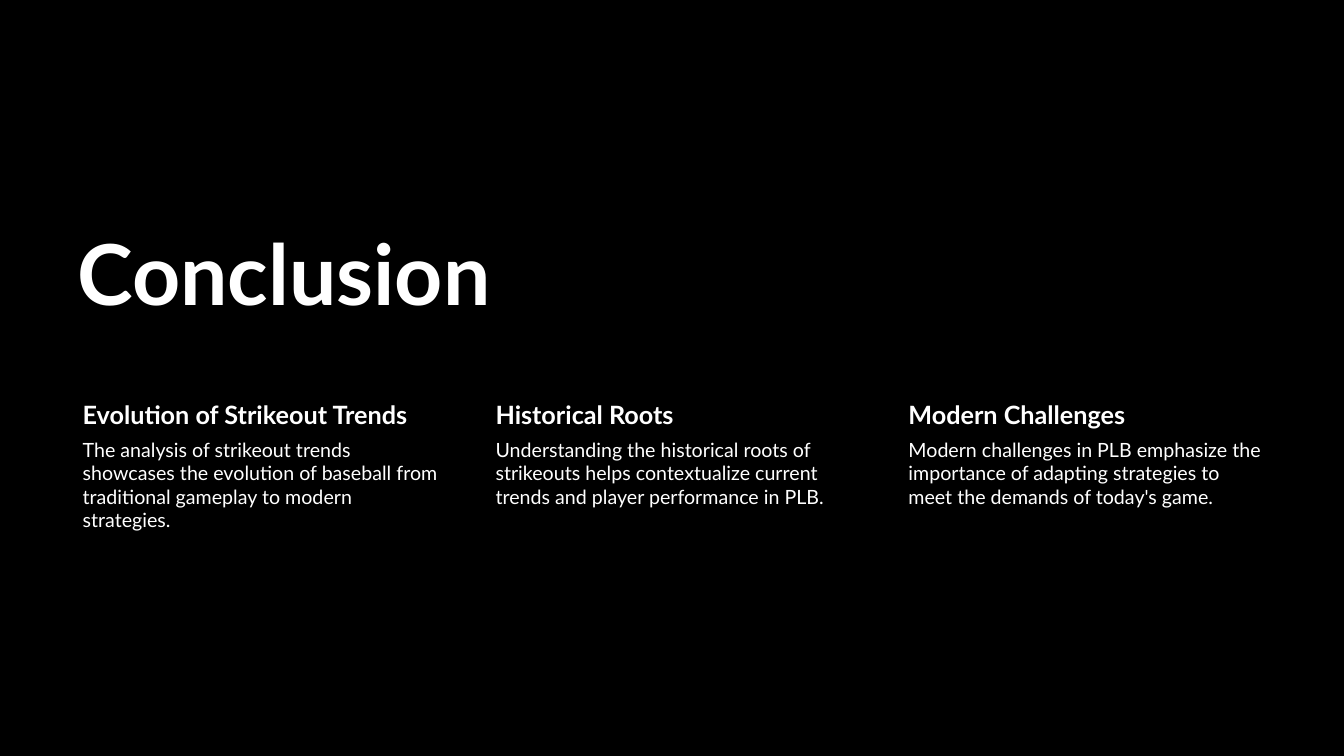
import pptx
import pptx.util
import pptx.dml.color
import pptx.enum.text

COLORS = {"background": "000000", "text": "FFFFFF"}
FONT = "Lato"
WIDTH, HEIGHT = 13.33, 7.5
MARGIN = 0.67
COLUMN_WIDTH = 3.72
HEADING_HEIGHT = 0.39
TAKEAWAYS = [
    ("Evolution of Strikeout Trends",
     "The analysis of strikeout trends showcases the evolution of baseball from "
     "traditional gameplay to modern strategies."),
    ("Historical Roots",
     "Understanding the historical roots of strikeouts helps contextualize current "
     "trends and player performance in PLB."),
    ("Modern Challenges",
     "Modern challenges in PLB emphasize the importance of adapting strategies to "
     "meet the demands of today's game."),
]


def rgb(name):
    return pptx.dml.color.RGBColor.from_string(COLORS[name])


def inches(*lengths):
    return [pptx.util.Inches(length) for length in lengths]


def style(p, size, bold=False):
    p.alignment = pptx.enum.text.PP_ALIGN.LEFT
    for r in p.runs:
        r.font.name = FONT
        r.font.size = pptx.util.Pt(size)
        r.font.bold = bold
        r.font.color.rgb = rgb("text")


def add_title(s, text, left, top, width, height):
    sp = s.shapes.title
    sp.left, sp.top, sp.width, sp.height = inches(left, top, width, height)
    tf = sp.text_frame
    tf.text = text
    tf.word_wrap = True
    tf.auto_size = pptx.enum.text.MSO_AUTO_SIZE.NONE
    tf.vertical_anchor = pptx.enum.text.MSO_ANCHOR.BOTTOM
    tf.paragraphs[0].line_spacing = 0.9
    style(tf.paragraphs[0], 60, True)


def add_text(s, text, box, inset, size, bold=False):
    tf = s.shapes.add_textbox(*inches(*box)).text_frame
    tf.text = text
    tf.word_wrap = True
    tf.margin_left = pptx.util.Inches(0.15)
    tf.margin_top = tf.margin_right = tf.margin_bottom = pptx.util.Inches(inset)
    style(tf.paragraphs[0], size, bold)


def add_takeaway(s, heading, body, left, top, width, height):
    add_text(s, heading, (left, top, width, HEADING_HEIGHT), 0.03, 18, True)
    add_text(s, body, (left, top + HEADING_HEIGHT, width, height - HEADING_HEIGHT), 0.02, 14)


def add_takeaways(s, left, top, width, height):
    step = (width - COLUMN_WIDTH) / (len(TAKEAWAYS) - 1)
    for i, (heading, body) in enumerate(TAKEAWAYS):
        add_takeaway(s, heading, body, left + i * step, top, COLUMN_WIDTH, height)


def main():
    prs = pptx.Presentation()
    prs.slide_width, prs.slide_height = inches(WIDTH, HEIGHT)
    s = prs.slides.add_slide(prs.slide_layouts.get_by_name("Title Only"))
    s.background.fill.solid()
    s.background.fill.fore_color.rgb = rgb("background")
    add_title(s, "Conclusion", MARGIN, 2.02, 8.03, 1.24)
    add_takeaways(s, MARGIN, 3.93, 11.91, 2.72)
    prs.save("out.pptx")


if __name__ == "__main__":
    main()
